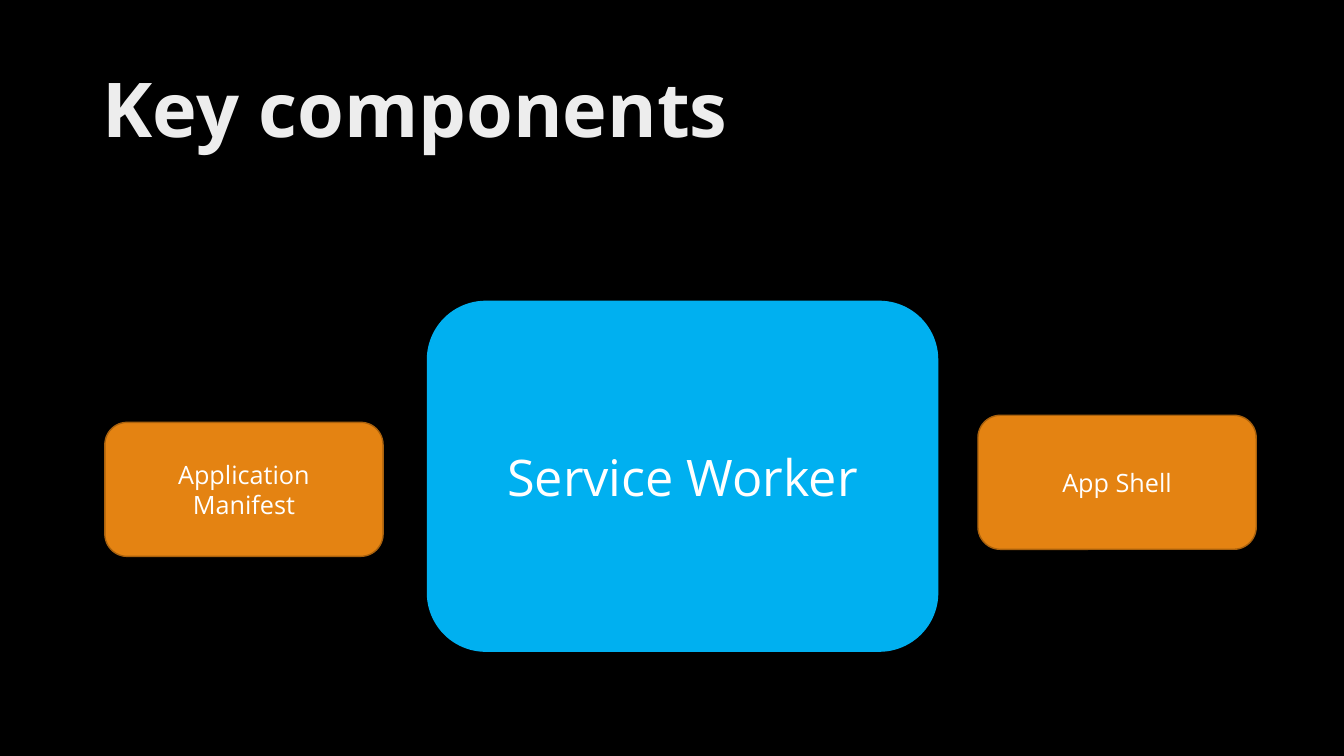
"""Build the "Key components" slide."""
from dataclasses import dataclass

from pptx import Presentation
from pptx import util as u
from pptx.dml.color import RGBColor
from pptx.enum import shapes, text

COLORS = {
    "background": "000000",
    "title": "EDEDED",
    "white": "FFFFFF",
    "orange": "E48312",
    "brown": "A9610D",
    "blue": "00B0F0",
}
FONT = "Open Sans"


@dataclass(frozen=True)
class Component:
    label: str
    left: float
    top: float
    width: float = 2.76
    height: float = 1.33
    fill: str = "orange"
    line: str = "brown"
    size: int = 18


COMPONENTS = [
    Component("Application\nManifest", 1.04, 4.19),
    Component("Service Worker", 4.24, 2.99, 5.06, 3.47, "blue", "blue", 36),
    Component("App Shell", 9.7, 4.12),
]


def rgb(name: str) -> RGBColor:
    return RGBColor.from_string(COLORS[name])


def write(sp, content: str, *, size: int, color: str = "white", bold: bool = False,
          align=text.PP_ALIGN.CENTER, spacing: float = 1.0) -> None:
    tf = sp.text_frame
    tf.word_wrap = True
    tf.vertical_anchor = text.MSO_ANCHOR.MIDDLE
    tf.text = content
    for p in tf.paragraphs:
        p.alignment = align
        p.line_spacing = spacing
        for r in p.runs:
            r.font.name = FONT
            r.font.size = u.Pt(size)
            r.font.bold = bold
            r.font.color.rgb = rgb(color)


def draw_component(s, c: Component) -> None:
    sp = s.shapes.add_shape(
        shapes.MSO_SHAPE.ROUNDED_RECTANGLE,
        u.Inches(c.left), u.Inches(c.top), u.Inches(c.width), u.Inches(c.height))
    sp.shadow.inherit = False
    sp.fill.solid()
    sp.fill.fore_color.rgb = rgb(c.fill)
    sp.line.color.rgb = rgb(c.line)
    sp.line.width = u.Pt(1)
    write(sp, c.label, size=c.size)


def main() -> None:
    prs = Presentation()
    prs.slide_width = u.Inches(13.33)
    prs.slide_height = u.Inches(7.5)
    s = prs.slides.add_slide(prs.slide_layouts[6])
    s.background.fill.solid()
    s.background.fill.fore_color.rgb = rgb("background")

    title = s.shapes.add_textbox(
        u.Inches(0.92), u.Inches(0.4), u.Inches(11.5), u.Inches(1.45))
    write(title, "Key components", size=54, color="title", bold=True,
          align=text.PP_ALIGN.LEFT, spacing=0.9)
    for component in COMPONENTS:
        draw_component(s, component)
    prs.save("out.pptx")


if __name__ == "__main__":
    main()
